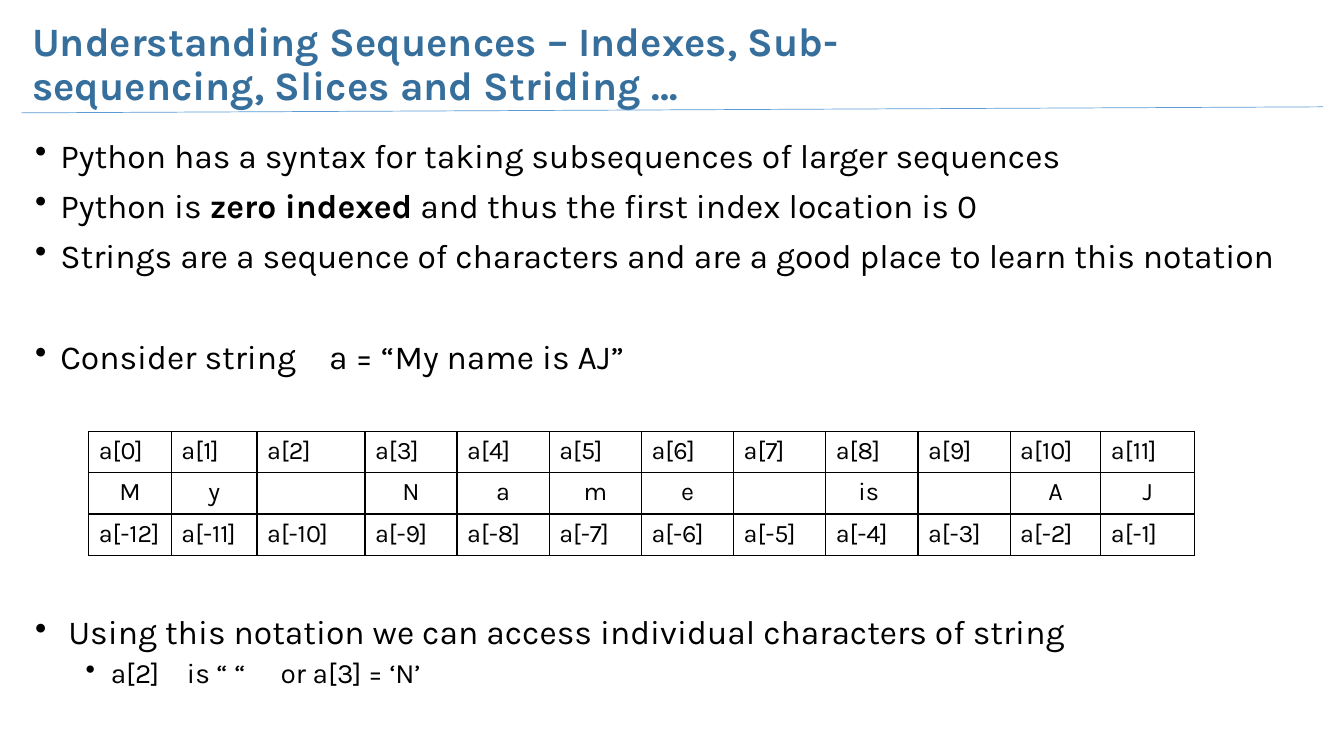
from dataclasses import dataclass

import pptx
import pptx.dml.color
import pptx.enum.shapes
import pptx.enum.text
import pptx.oxml.ns
import pptx.util
from lxml import etree

Inches = pptx.util.Inches
Pt = pptx.util.Pt
qn = pptx.oxml.ns.qn

FONT = "Karla"
COLORS = {"title": "366E9C", "text": "000000", "rule": "5B9BD5", "border": "000000"}


@dataclass(frozen=True)
class Piece:
    text: str
    bold: bool = False
    tracking: float = 0  # extra points after each letter


@dataclass(frozen=True)
class Bullet:
    pieces: tuple[Piece, ...]
    size: float = 24
    before: float = 10
    indent: float = 0.25


BULLETS = (
    Bullet((Piece("Python has a syntax for taking subsequences of larger sequences"),)),
    Bullet((Piece("Python is "), Piece("zero indexed", bold=True),
            Piece(" and thus the first index location is 0"))),
    Bullet((Piece("Strings are a sequence of characters and are a good place "
                  "to learn this notation"),)),
    Bullet((Piece("Consider string"), Piece(" ", tracking=17.7),
            Piece("a = “My name is AJ”")), before=46),
    Bullet((Piece(" Using this notation we can access individual characters of string"),),
           before=171),
    Bullet((Piece("a[2]"), Piece(" ", tracking=15), Piece("is “ “"),
            Piece(" ", tracking=20), Piece("or a[3] = ‘N’")),
           size=20, before=5, indent=0.75),
)

LETTERS = ("M", "y", "", "N", "a", "m", "e", "", "is ", "", "A", "J")
COLUMN_WIDTHS = [0.82, 0.85, 1.07] + [6.4 / 7] * 7 + [0.9, 0.93]
ROW_HEIGHT = 0.41


def rgb(name: str) -> pptx.dml.color.RGBColor:
    return pptx.dml.color.RGBColor.from_string(COLORS[name])


def add_text(paragraph, text: str, *, size: float, color: str = "text",
             bold: bool = False, tracking: float = 0) -> None:
    run = paragraph.add_run()
    run.text = text
    run.font.name = FONT
    run.font.size = Pt(size)
    run.font.bold = bold
    run.font.color.rgb = rgb(color)
    if tracking:
        run.font._element.set("spc", str(round(tracking * 100)))


def add_frame(slide, left: float, top: float, width: float, height: float):
    box = slide.shapes.add_textbox(Inches(left), Inches(top), Inches(width), Inches(height))
    box.text_frame.word_wrap = True
    return box.text_frame


def add_bullet(paragraph, bullet: Bullet) -> None:
    paragraph.line_spacing = 0.9
    paragraph.space_before = Pt(bullet.before)
    properties = paragraph._p.get_or_add_pPr()
    properties.set("marL", str(Inches(bullet.indent)))
    properties.set("indent", str(Inches(-0.25)))
    etree.SubElement(properties, qn("a:buChar"), char="•")
    for piece in bullet.pieces:
        add_text(paragraph, piece.text, size=bullet.size, bold=piece.bold,
                 tracking=piece.tracking)


def add_borders(cell) -> None:
    properties = cell._tc.get_or_add_tcPr()
    for index, side in enumerate(("lnL", "lnR", "lnT", "lnB")):
        line = etree.Element(qn(f"a:{side}"), w=str(Pt(1)))
        fill = etree.SubElement(line, qn("a:solidFill"))
        etree.SubElement(fill, qn("a:srgbClr"), val=COLORS["border"])
        properties.insert(index, line)


def add_index_table(slide) -> None:
    count = len(LETTERS)
    rows = (
        [f"a[{i}]" for i in range(count)],
        LETTERS,
        [f"a[{i - count}]" for i in range(count)],
    )
    table = slide.shapes.add_table(
        len(rows), count, Inches(0.88), Inches(4.28),
        Inches(sum(COLUMN_WIDTHS)), Inches(ROW_HEIGHT * len(rows))).table
    table.first_row = False
    table.horz_banding = False
    for column, width in zip(table.columns, COLUMN_WIDTHS):
        column.width = Inches(width)
    for row_index, texts in enumerate(rows):
        table.rows[row_index].height = Inches(ROW_HEIGHT)
        for column_index, text in enumerate(texts):
            cell = table.cell(row_index, column_index)
            cell.fill.background()
            add_borders(cell)
            paragraph = cell.text_frame.paragraphs[0]
            if texts is LETTERS:
                paragraph.alignment = pptx.enum.text.PP_ALIGN.CENTER
            if text:
                add_text(paragraph, text, size=18)


def main() -> None:
    deck = pptx.Presentation()
    deck.slide_width = Inches(13.33)
    deck.slide_height = Inches(7.5)
    slide = deck.slides.add_slide(deck.slide_layouts[6])

    # Title
    title = add_frame(slide, 0.22, 0.3, 10.12, 0.7)
    title.vertical_anchor = pptx.enum.text.MSO_ANCHOR.MIDDLE
    title.paragraphs[0].line_spacing = 0.9
    add_text(title.paragraphs[0],
             "Understanding Sequences – Indexes, Sub-sequencing, Slices and Striding …",
             size=28.8, color="title", bold=True)

    # Bulleted explanation
    explanation = add_frame(slide, 0.25, 1.33, 12.78, 5.9)
    for index, bullet in enumerate(BULLETS):
        paragraph = explanation.add_paragraph() if index else explanation.paragraphs[0]
        add_bullet(paragraph, bullet)

    # Rule under the title
    title_rule = slide.shapes.add_connector(
        pptx.enum.shapes.MSO_CONNECTOR.STRAIGHT,
        Inches(0.21), Inches(1.12), Inches(13.12), Inches(1.06))
    title_rule.line.color.rgb = rgb("rule")
    title_rule.line.width = Pt(0.5)
    etree.SubElement(title_rule._element.spPr, qn("a:effectLst"))

    # Positive and negative indexes of each character
    add_index_table(slide)

    deck.save("out.pptx")


if __name__ == "__main__":
    main()
